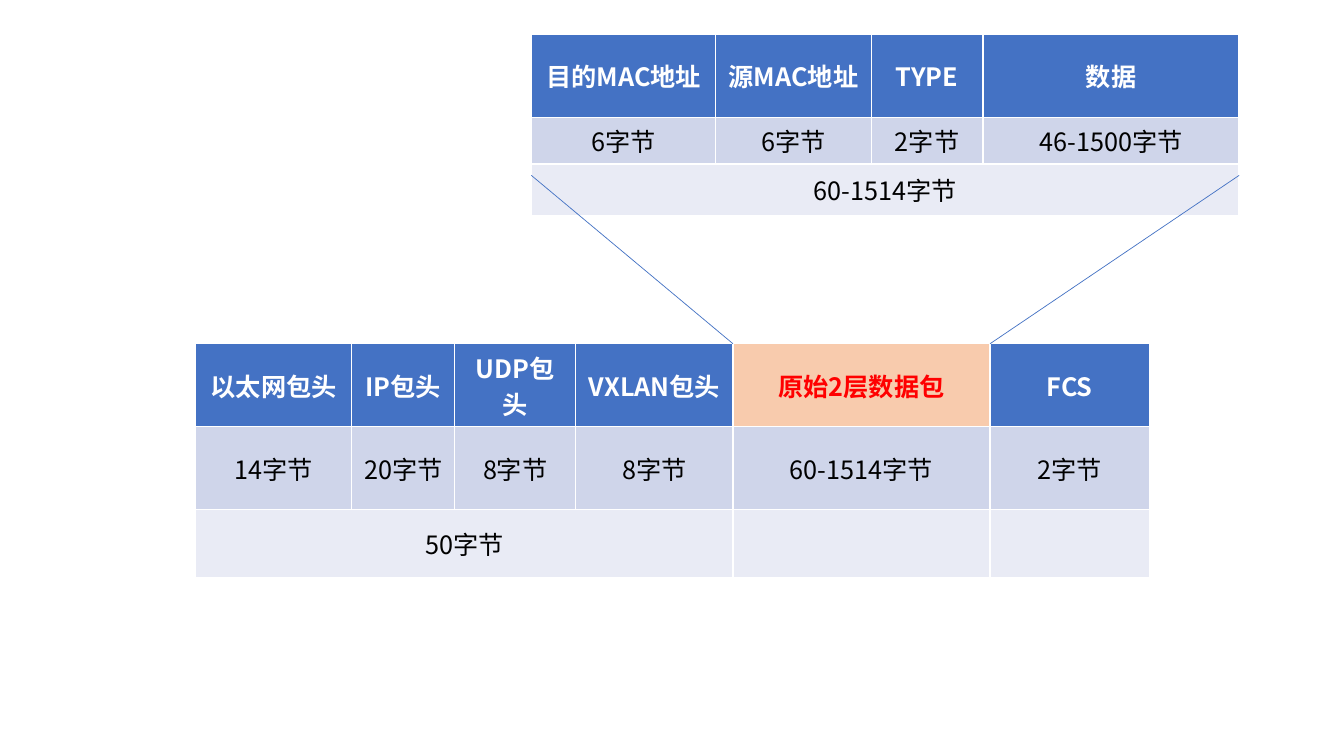
"""Build a slide showing how VXLAN encapsulates a layer 2 frame."""
from dataclasses import dataclass

from lxml import etree
from pptx import Presentation
from pptx.dml.color import RGBColor
from pptx.enum.shapes import MSO_CONNECTOR
from pptx.enum.text import MSO_ANCHOR, PP_ALIGN
from pptx.oxml.ns import qn
from pptx.util import Inches, Pt

CENTER = PP_ALIGN.CENTER
MIDDLE = MSO_ANCHOR.MIDDLE
STRAIGHT = MSO_CONNECTOR.STRAIGHT
BLANK_LAYOUT = 6


@dataclass(frozen=True)
class Theme:
    font: str = "Noto Sans CJK SC"
    size: int = 18
    accent: str = "4472C4"
    highlight: str = "F8CBAD"
    highlight_text: str = "FF0000"
    header_text: str = "FFFFFF"
    body_text: str = "000000"
    bands: tuple = ("CFD5EA", "E9EBF5")
    line_width: float = 0.5


THEME = Theme()
INNER_PACKET = "原始2层数据包"

VXLAN_PACKET = {
    "left": 1.94,
    "top": 3.41,
    "columns": [1.55, 1.02, 1.2, 1.56, 2.55, 1.58],
    "heights": [0.41, 0.59, 0.67],
    "rows": [
        ["以太网包头", "IP包头", "UDP包头", "VXLAN包头", INNER_PACKET, "FCS"],
        ["14字节", "20字节", "8字节", "8字节", "60-1514字节", "2字节"],
        ["50字节", "", "", "", "", ""],
    ],
}
ETHERNET_FRAME = {
    "left": 5.27,
    "top": 0.34,
    "columns": [1.83, 1.54, 1.11, 2.54],
    "heights": [0.44, 0.45, 0.51],
    "rows": [
        ["目的MAC地址", "源MAC地址", "TYPE", "数据"],
        ["6字节", "6字节", "2字节", "46-1500字节"],
        ["60-1514字节", "", "", ""],
    ],
}
TOTAL_SPAN = 4


def cell_colors(row_index, label):
    if row_index:
        return THEME.bands[row_index - 1], THEME.body_text
    if label == INNER_PACKET:
        return THEME.highlight, THEME.highlight_text
    return THEME.accent, THEME.header_text


def fill_cell(cell, row_index, label):
    fill_color, text_color = cell_colors(row_index, label)
    cell.fill.solid()
    cell.fill.fore_color.rgb = RGBColor.from_string(fill_color)
    cell.vertical_anchor = MIDDLE
    if not label:
        return
    cell.text = label
    paragraph = cell.text_frame.paragraphs[0]
    paragraph.alignment = CENTER
    font = paragraph.font
    font.size = Pt(THEME.size)
    font.bold = row_index == 0
    font.color.rgb = RGBColor.from_string(text_color)
    font.name = THEME.font
    defaults = paragraph._p.pPr.find(qn("a:defRPr"))
    etree.SubElement(defaults, qn("a:ea"), typeface=THEME.font)


def add_packet(slide, packet):
    columns, heights, rows = packet["columns"], packet["heights"], packet["rows"]
    table = slide.shapes.add_table(
        len(rows), len(columns), Inches(packet["left"]), Inches(packet["top"]),
        Inches(sum(columns)), Inches(sum(heights))).table
    for column, width in zip(table.columns, columns):
        column.width = Inches(width)
    for row, height in zip(table.rows, heights):
        row.height = Inches(height)
    for row_index, labels in enumerate(rows):
        for column_index, label in enumerate(labels):
            fill_cell(table.cell(row_index, column_index), row_index, label)
    total_row = len(rows) - 1
    table.cell(total_row, 0).merge(table.cell(total_row, TOTAL_SPAN - 1))


def add_zoom_line(slide, start, end):
    line = slide.shapes.add_connector(STRAIGHT, *map(Inches, start + end))
    line.line.color.rgb = RGBColor.from_string(THEME.accent)
    line.line.width = Pt(THEME.line_width)
    etree.SubElement(line._element.spPr, qn("a:effectLst"))


def main():
    presentation = Presentation()
    presentation.slide_width = Inches(13.33)
    presentation.slide_height = Inches(7.5)
    slide = presentation.slides.add_slide(presentation.slide_layouts[BLANK_LAYOUT])
    for packet in (VXLAN_PACKET, ETHERNET_FRAME):
        add_packet(slide, packet)

    frame_left = ETHERNET_FRAME["left"]
    frame_right = frame_left + sum(ETHERNET_FRAME["columns"])
    frame_bottom = ETHERNET_FRAME["top"] + sum(ETHERNET_FRAME["heights"])
    inner_index = VXLAN_PACKET["rows"][0].index(INNER_PACKET)
    inner_left = VXLAN_PACKET["left"] + sum(VXLAN_PACKET["columns"][:inner_index])
    inner_right = inner_left + VXLAN_PACKET["columns"][inner_index]
    for frame_x, inner_x in ((frame_left, inner_left), (frame_right, inner_right)):
        add_zoom_line(slide, (frame_x, frame_bottom), (inner_x, VXLAN_PACKET["top"]))
    presentation.save("out.pptx")


if __name__ == "__main__":
    main()
